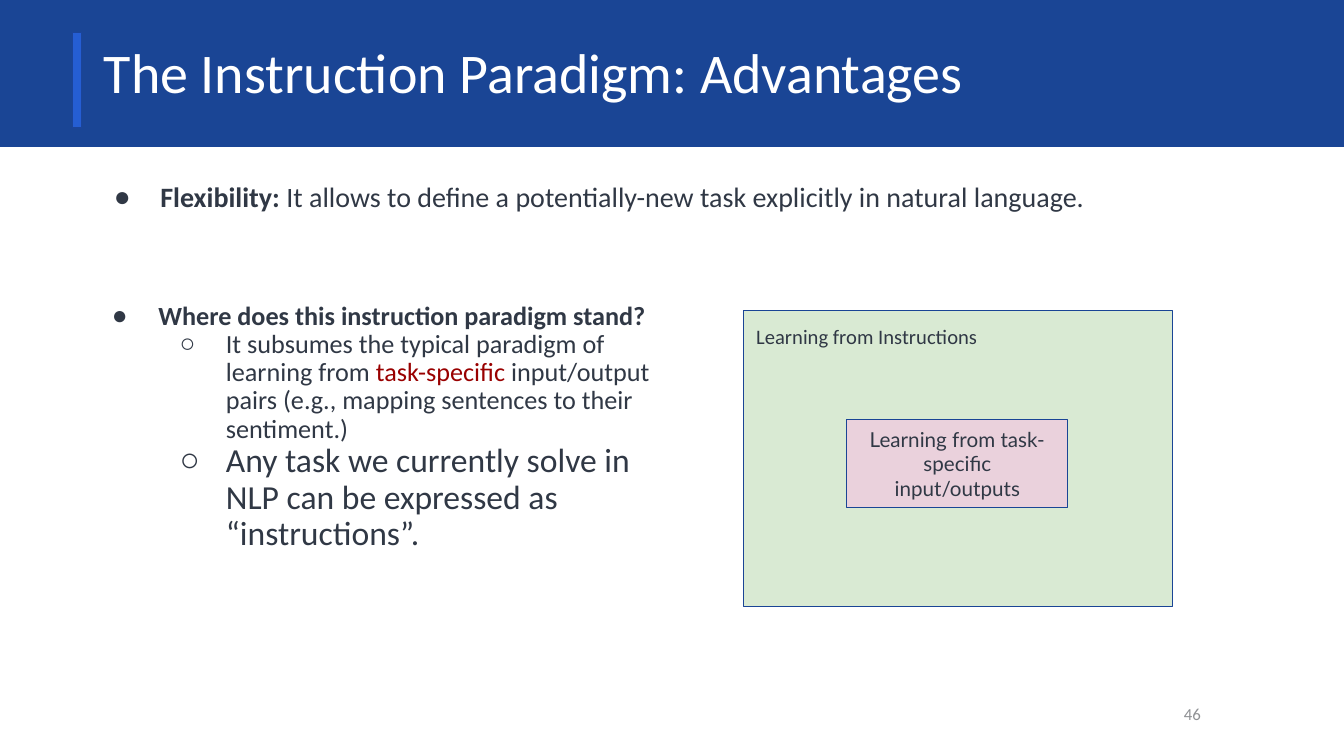
from pptx import Presentation, util as u
from pptx.dml.color import RGBColor
from pptx.enum import shapes, text
from pptx.oxml.ns import qn
from lxml import etree

TITLE = "The Instruction Paradigm: Advantages"
FLEX = [
    (0, "lead", [("Flexibility:", {"bold": True}),
                 (" It allows to define a potentially-new task explicitly in natural language.", {})]),
]
STAND = [
    (0, "body", [("Where does this instruction paradigm stand?", {"bold": True})]),
    (1, "body", [("It subsumes the typical paradigm of learning from ", {}),
                 ("task-specific", {"color": "red"}),
                 (" input/output pairs (e.g., mapping sentences to their sentiment.)", {})]),
    (1, "big", [("Any task we currently solve in NLP can be expressed as “instructions”.", {})]),
]
OUTER = "Learning from Instructions"
INNER = "Learning from task-specific input/outputs"
NUMBER = "46"

THEME = {
    "font": "Calibri", "alt": "Lato",
    "navy": "1A4595", "blue": "255ED3", "edge": "1B4499", "white": "FFFFFF",
    "ink": "303845", "red": "990000", "gray": "8F9194",
    "green": "D9EAD3", "pink": "EAD1DC",
    "title": 40, "lead": 20, "body": 18.7, "big": 24, "label": 14.7, "small": 12,
}
PAD = 0.13
MARKS = "●○"


def tint(name):
    return RGBColor.from_string(THEME[name])


def place(shape, box):
    for key, val in zip(("left", "top", "width", "height"), box):
        setattr(shape, key, u.Inches(val))


def frame(shape, anchor="TOP"):
    tf = shape.text_frame
    look = {"word_wrap": True, "auto_size": text.MSO_AUTO_SIZE.NONE,
            "vertical_anchor": getattr(text.MSO_ANCHOR, anchor)}
    look.update({"margin_" + side: u.Inches(PAD) for side in ("left", "top", "right", "bottom")})
    for key, val in look.items():
        setattr(tf, key, val)
    return tf


def write(para, words, size, color="ink", font="font", bold=False):
    run = para.add_run()
    run.text = words
    look = {"name": THEME[font], "size": u.Pt(THEME[size]), "bold": bold}
    for key, val in look.items():
        setattr(run.font, key, val)
    run.font.color.rgb = tint(color)


def label(shape, words, size, align="LEFT", anchor="TOP", **look):
    para = frame(shape, anchor).paragraphs[0]
    para.alignment = getattr(text.PP_ALIGN, align)
    write(para, words, size, **look)
    return para


def bullets(shape, items):
    tf = frame(shape)
    for i, (level, size, runs) in enumerate(items):
        para = tf.add_paragraph() if i else tf.paragraphs[0]
        props = para._p.get_or_add_pPr()
        props.set("marL", str(u.Inches(0.67 * (level + 1))))
        props.set("indent", str(u.Inches(-0.46)))
        etree.SubElement(props, qn("a:buChar")).set("char", MARKS[level])
        look = {"level": level, "line_spacing": 0.9, "space_before": u.Pt(0),
                "alignment": text.PP_ALIGN.LEFT}
        for key, val in look.items():
            setattr(para, key, val)
        for words, style in runs:
            write(para, words, size, **style)


def block(slide, box, fill, line, width):
    shape = slide.shapes.add_shape(shapes.MSO_SHAPE.RECTANGLE, *map(u.Inches, box))
    shape.shadow.inherit = False
    shape.fill.solid()
    shape.fill.fore_color.rgb = tint(fill)
    shape.line.color.rgb = tint(line)
    shape.line.width = u.Pt(width)
    return shape


def main():
    deck = Presentation()
    deck.slide_width, deck.slide_height = u.Inches(13.33), u.Inches(7.5)
    slide = deck.slides.add_slide(deck.slide_layouts[3])
    title, stand, flex = slide.placeholders

    block(slide, (0, 0, 13.33, 1.45), "navy", "navy", 1)
    block(slide, (0.72, 0.32, 0.09, 0.95), "blue", "edge", 1)

    tree = title.element.getparent()
    tree.append(title.element)
    place(title, (0.9, 0.32, 11.65, 0.84))
    label(title, TITLE, "title", color="white").line_spacing = 0.9

    place(flex, (0.79, 1.69, 12.04, 1.1))
    bullets(flex, FLEX)
    place(stand, (0.77, 2.87, 6.12, 1.48))
    bullets(stand, STAND)

    outer = block(slide, (7.37, 3.08, 4.26, 2.94), "green", "navy", 0.75)
    label(outer, OUTER, "label")
    inner = block(slide, (8.4, 4.16, 2.19, 0.88), "pink", "navy", 0.75)
    label(inner, INNER, "label", "CENTER", "MIDDLE", font="alt")

    page = slide.shapes.add_textbox(*map(u.Inches, (11.24, 6.8, 0.8, 0.57)))
    label(page, NUMBER, "small", "RIGHT", "MIDDLE", color="gray")
    deck.save("out.pptx")


if __name__ == "__main__":
    main()
